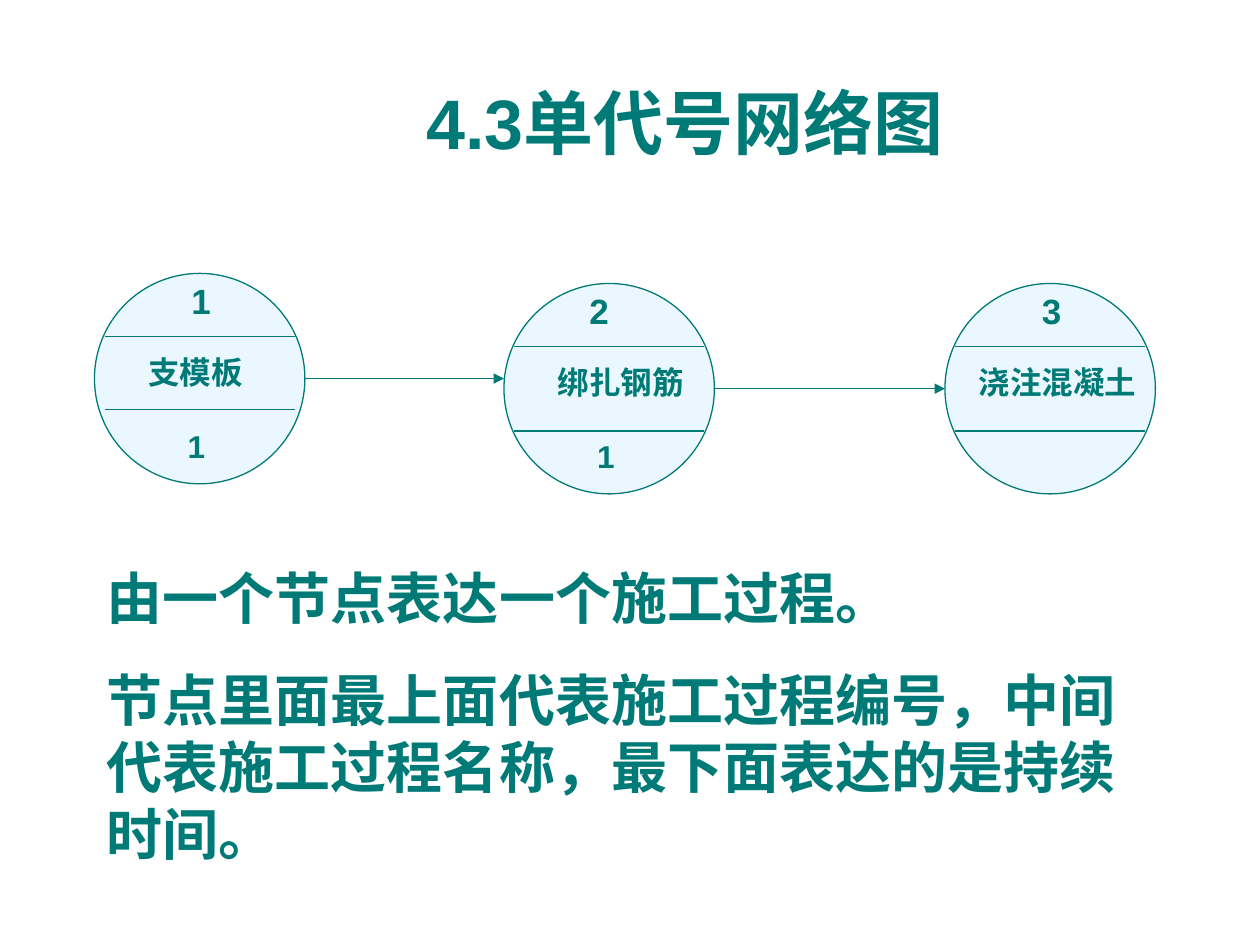
from itertools import pairwise

from lxml.etree import SubElement
from pptx import Presentation
from pptx.dml.color import RGBColor
from pptx.enum.shapes import MSO_CONNECTOR, MSO_SHAPE
from pptx.enum.text import PP_ALIGN
from pptx.oxml.ns import qn
from pptx.util import Inches, Pt

TITLE = "4.3单代号网络图"
EXPLANATION = [
    "由一个节点表达一个施工过程。",
    "节点里面最上面代表施工过程编号，中间代表施工过程名称，最下面表达的是持续时间。",
]
# left and top of the circle; number_dx and name_dx are text offsets from its left
NODES = [
    dict(left=0.75, top=2.17, number="1", name="支模板", duration="1",
         number_dx=0.67, name_dx=0.33, dividers=(0.5, 1.08)),
    dict(left=4, top=2.25, number="2", name="绑扎钢筋", duration="1",
         number_dx=0.58, name_dx=0.33, dividers=(0.5, 1.17)),
    dict(left=7.5, top=2.25, number="3", name="浇注混凝土", duration="",
         number_dx=0.67, name_dx=0.17, dividers=(0.5, 1.17)),
]
THEME = dict(
    ink=RGBColor.from_string("007A77"), node_fill=RGBColor.from_string("EBF7FF"),
    font="Arial", line=Pt(0.75),
    title=Pt(40), body=Pt(32), number=Pt(20), label=Pt(18),
)
DIAMETER = 1.67
DIVIDER_INSET = 0.08
NAME_DY = 0.58
DURATION_DX, DURATION_DY = 0.64, 1.17


def add_text(slide, box, paragraphs, size, align=PP_ALIGN.LEFT, gap=Pt(0)):
    frame = slide.shapes.add_textbox(*map(Inches, box)).text_frame
    frame.word_wrap = True
    font_format = dict(name=THEME["font"], size=size, bold=True)
    for index, text in enumerate(paragraphs):
        paragraph = frame.add_paragraph() if index else frame.paragraphs[0]
        paragraph.alignment = align
        if index:
            paragraph.space_before = gap
        run = paragraph.add_run()
        run.text = text
        for attribute, value in font_format.items():
            setattr(run.font, attribute, value)
        run.font.color.rgb = THEME["ink"]


def style_line(line):
    line.color.rgb = THEME["ink"]
    line.width = THEME["line"]


def add_line(slide, x1, y1, x2, y2, arrow=False):
    connector = slide.shapes.add_connector(
        MSO_CONNECTOR.STRAIGHT, *map(Inches, (x1, y1, x2, y2)))
    style_line(connector.line)
    if arrow:
        SubElement(connector.line._get_or_add_ln(), qn("a:tailEnd"), type="triangle")
    SubElement(connector._element.spPr, qn("a:effectLst"))


def add_node(slide, node):
    left, top = node["left"], node["top"]
    circle = slide.shapes.add_shape(
        MSO_SHAPE.OVAL, *map(Inches, (left, top, DIAMETER, DIAMETER)))
    circle.shadow.inherit = False
    circle.fill.solid()
    circle.fill.fore_color.rgb = THEME["node_fill"]
    style_line(circle.line)

    for dy in node["dividers"]:
        add_line(slide, left + DIVIDER_INSET, top + dy,
                 left + DIAMETER - DIVIDER_INSET, top + dy)

    add_text(slide, (left + node["number_dx"], top, 0.75, 0.44),
             [node["number"]], THEME["number"])
    add_text(slide, (left + node["name_dx"], top + NAME_DY, 1.58, 0.4),
             [node["name"]], THEME["label"])
    if node["duration"]:
        add_text(slide, (left + DURATION_DX, top + DURATION_DY, 0.75, 0.4),
                 [node["duration"]], THEME["label"])


def main():
    deck = Presentation()
    deck.slide_width, deck.slide_height = Inches(10), Inches(7.5)
    slide = deck.slides.add_slide(deck.slide_layouts[6])

    add_text(slide, (1.2, 0.58, 8.47, 0.8), [TITLE], THEME["title"], PP_ALIGN.CENTER)
    add_text(slide, (0.75, 4.42, 8.42, 2.51), EXPLANATION, THEME["body"], gap=Pt(20))
    for node in NODES:
        add_node(slide, node)
    for start, end in pairwise(NODES):
        y = start["top"] + DIAMETER / 2
        add_line(slide, start["left"] + DIAMETER, y, end["left"], y, arrow=True)

    deck.save("out.pptx")


if __name__ == "__main__":
    main()
